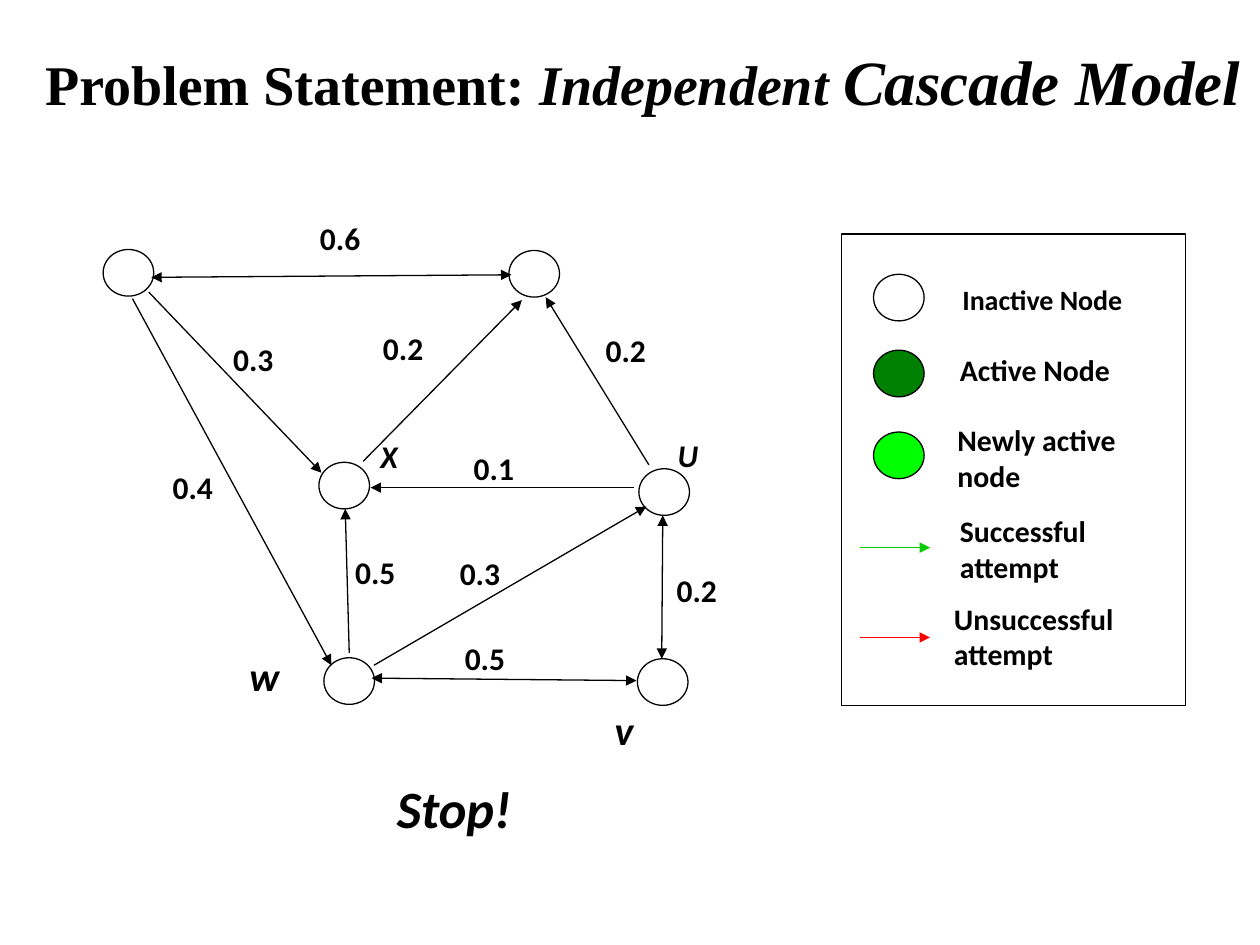
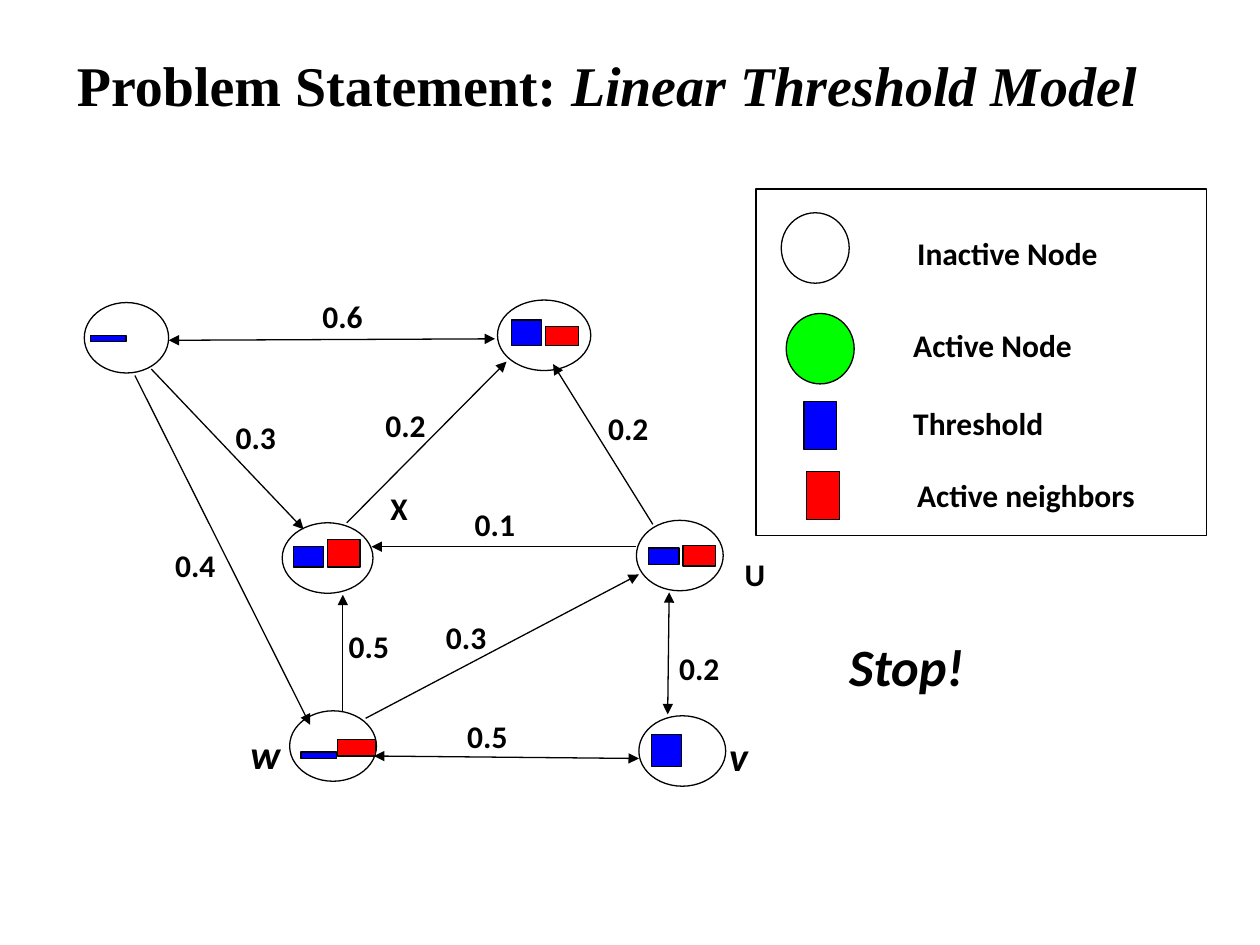
from dataclasses import dataclass

import lxml.etree
import pptx
import pptx.dml.color
import pptx.enum.shapes
import pptx.enum.text
import pptx.oxml.ns
import pptx.util

Cm, Pt = pptx.util.Cm, pptx.util.Pt
Preset = pptx.enum.shapes.MSO_SHAPE


@dataclass(frozen=True)
class Theme:
    """Colours, fonts and type sizes of both slides."""
    ink: str = "000000"
    paper: str = "FFFFFF"
    active: str = "008000"
    fresh: str = "00FF00"
    success: str = "00CC00"
    red: str = "FF0000"
    threshold: str = "0000FF"
    title_font: str = "Times New Roman"
    body_font: str = "Calibri"
    title: int = 32
    title_large: int = 36
    stop: int = 30
    node_name: int = 23
    label: int = 18
    key: int = 17
    key_small: int = 16
    outline: float = 0.75


@dataclass(frozen=True)
class Box:
    """A region in centimetres."""
    left: float
    top: float
    width: float
    height: float

    def inner(self, left, top, width, height):
        """Return a box placed relative to this one."""
        return Box(self.left + left, self.top + top, width, height)

    def lengths(self):
        """Return the four lengths that python-pptx expects."""
        return [Cm(n) for n in (self.left, self.top, self.width, self.height)]


THEME = Theme()


def set_all(target, values):
    """Set every attribute named in values on target."""
    for name, value in values.items():
        setattr(target, name, value)


def style_run(run, size, font=THEME.body_font, italic=False):
    """Format one bold run."""
    set_all(run.font, {"name": font, "size": Pt(size), "bold": True, "italic": italic})
    run.font.color.rgb = pptx.dml.color.RGBColor.from_string(THEME.ink)


def paint_line(line, colour):
    """Give a line the common width and the given colour."""
    line.color.rgb = pptx.dml.color.RGBColor.from_string(colour)
    line.width = Pt(THEME.outline)


def add_text(slide, box, wording, size, italic=False):
    """Write bold text in a wrapping box, one paragraph to a line."""
    frame = slide.shapes.add_textbox(*box.lengths()).text_frame
    set_all(frame, {"word_wrap": True, "text": wording})
    for paragraph in frame.paragraphs:
        for run in paragraph.runs:
            style_run(run, size, italic=italic)


def add_outlined(slide, preset, box, fill=None):
    """Draw a thinly outlined preset shape, filled when a colour is given."""
    shape = slide.shapes.add_shape(preset, *box.lengths())
    shape.shadow.inherit = False
    paint_line(shape.line, THEME.ink)
    if fill:
        shape.fill.solid()
        shape.fill.fore_color.rgb = pptx.dml.color.RGBColor.from_string(fill)
    else:
        shape.fill.background()


def add_arrow(slide, box, start, end, colour=THEME.ink, two_way=False):
    """Draw an arrow between two points of a box."""
    points = [Cm(n) for x, y in (start, end) for n in (box.left + x, box.top + y)]
    arrow = slide.shapes.add_connector(pptx.enum.shapes.MSO_CONNECTOR.STRAIGHT, *points)
    paint_line(arrow.line, colour)
    qn = pptx.oxml.ns.qn
    properties = arrow._element.spPr
    for tip in ("a:headEnd", "a:tailEnd") if two_way else ("a:tailEnd",):
        lxml.etree.SubElement(properties.find(qn("a:ln")), qn(tip), type="triangle")
    lxml.etree.SubElement(properties, qn("a:effectLst"))


def add_title(slide, box, parts):
    """Place the title and write its (wording, size, italic) parts."""
    heading = slide.shapes.title
    set_all(heading, dict(zip(("left", "top", "width", "height"), box.lengths())))
    frame = heading.text_frame
    set_all(frame, {
        "margin_left": 0, "margin_right": 0, "margin_top": 0, "margin_bottom": Cm(0.13),
        "word_wrap": True, "auto_size": pptx.enum.text.MSO_AUTO_SIZE.NONE,
        "vertical_anchor": pptx.enum.text.MSO_ANCHOR.TOP,
    })
    paragraph = frame.paragraphs[0]
    set_all(paragraph, {"alignment": pptx.enum.text.PP_ALIGN.LEFT, "line_spacing": Pt(29)})
    for wording, size, italic in parts:
        run = paragraph.add_run()
        run.text = wording
        style_run(run, size, THEME.title_font, italic)


def add_graph(slide, box, nodes, node_height, edges, weight_places, names):
    """Draw the influence graph: nodes, weighted edges and node names."""
    for left, top, width, fill in nodes.values():
        add_outlined(slide, Preset.OVAL, box.inner(left, top, width, node_height), fill)
    for pair, (start, end) in edges.items():
        add_arrow(slide, box, start, end, two_way=pair in TWO_WAY)
    for pair, place in weight_places.items():
        add_text(slide, box.inner(*place, 1.7, 1.02), WEIGHTS[pair], THEME.label)
    for name, (left, top, size, italic) in names.items():
        add_text(slide, box.inner(left, top, 1.3, 1.22), name, size, italic)


def add_bars(slide, box, bars, colour):
    """Draw the level bars that sit inside the nodes."""
    for place in bars:
        add_outlined(slide, Preset.RECTANGLE, box.inner(*place), colour)


def add_legend(slide, box, symbols, arrows, captions):
    """Draw the framed legend with its symbols, arrows and captions."""
    add_outlined(slide, Preset.RECTANGLE, box)
    for preset, place, fill in symbols:
        add_outlined(slide, preset, box.inner(*place), fill)
    for height, colour in arrows:
        add_arrow(slide, box, (0.37, height), (1.78, height), colour)
    for left, top, wording, size in captions:
        lines = wording.count("\n") + 1
        caption = box.inner(left, top, box.width - left - 0.2, 0.25 + 0.75 * lines)
        add_text(slide, caption, wording, size)


def add_model_slide(deck, title_box, title, stop_box):
    """Add a slide with its title and the closing call."""
    slide = deck.slides.add_slide(deck.slide_layouts[5])
    add_title(slide, title_box, [("Problem Statement: ", THEME.title, False), *title])
    add_text(slide, stop_box, "Stop!", THEME.stop, italic=True)
    return slide


WEIGHTS = {"wv": "0.5", "wU": "0.3", "wX": "0.5", "UX": "0.1", "aw": "0.4",
           "aX": "0.3", "Xb": "0.2", "ab": "0.6", "Ub": "0.2", "Uv": "0.2"}
TWO_WAY = {"wv", "ab", "Uv"}
WEIGHT_PLACES = {
    "wv": (7.12, 8.75), "wU": (7.02, 7.05), "wX": (4.91, 7.02), "UX": (7.3, 4.92),
    "aw": (1.23, 5.32), "aX": (2.45, 2.73), "Xb": (5.47, 2.5), "ab": (4.2, 0.29),
    "Ub": (9.96, 2.55), "Uv": (11.39, 7.38),
}


def build_cascade(deck):
    """Build the Independent Cascade Model slide."""
    slide = add_model_slide(
        deck, Box(0.91, 1.35, 24.49, 3.23),
        [("Independent ", THEME.title, True), ("Cascade Model", THEME.title_large, True)],
        Box(7.75, 15.52, 3.63, 1.52))
    size = (1.02, 0.94)
    corners = {"a": (0.08, 1.03), "b": (8.26, 1.05), "X": (4.43, 5.32),
               "U": (10.88, 5.45), "w": (4.53, 9.26), "v": (10.85, 9.28)}
    nodes = {name: (*corner, size[0], THEME.paper) for name, corner in corners.items()}
    edges = {
        "wv": ((5.49, 9.67), (10.83, 9.72)), "wU": ((5.54, 9.41), (11.03, 6.21)),
        "wX": ((5.04, 9.16), (4.96, 6.26)), "UX": ((10.78, 5.83), (5.47, 5.83)),
        "aw": ((0.67, 2.02), (4.68, 9.41)), "aX": ((1.0, 1.89), (4.48, 5.53)),
        "Xb": ((5.32, 5.3), (8.52, 2.05)), "ab": ((1.05, 1.59), (8.31, 1.54)),
        "Ub": ((11.08, 5.37), (9.0, 1.99)), "Uv": ((11.36, 6.39), (11.34, 9.28)),
    }
    names = {"v": (10.14, 10.1, THEME.node_name, True), "w": (2.78, 9.0, THEME.node_name, True),
             "U": (11.41, 4.66, THEME.label, True), "X": (5.42, 4.69, THEME.label, True)}
    add_graph(slide, Box(2, 4, 12, 11.5), nodes, size[1], edges, WEIGHT_PLACES, names)
    symbols = [(Preset.OVAL, (0.64, top, *size), fill) for top, fill in
               ((0.81, THEME.paper), (2.34, THEME.active), (3.99, THEME.fresh))]
    captions = [
        (2.18, 0.86, "Inactive Node", THEME.key_small),
        (2.13, 2.24, "Active Node", THEME.key),
        (2.08, 3.66, "Newly active \nnode", THEME.key),
        (2.13, 5.49, "Successful \nattempt", THEME.key),
        (2.01, 7.26, "Unsuccessful\nattempt", THEME.key),
    ]
    add_legend(slide, Box(16.97, 4.72, 6.93, 9.5), symbols,
               [(6.32, THEME.success), (8.13, THEME.red)], captions)


def build_threshold(deck):
    """Build the Linear Threshold Model slide."""
    slide = add_model_slide(
        deck, Box(1.55, 1.35, 23.22, 4.27),
        [("Linear Threshold Model", THEME.title, True)], Box(16.87, 12.65, 3.63, 1.52))
    graph = Box(2.05, 5.57, 12, 11.5)
    nodes = {
        "a": (-0.35, 0.53, 1.7, THEME.paper), "b": (7.98, 0.48, 1.88, THEME.paper),
        "X": (3.64, 4.97, 1.83, THEME.paper), "U": (10.78, 4.92, 1.75, THEME.paper),
        "w": (3.79, 8.76, 1.75, THEME.paper), "v": (10.83, 8.86, 1.75, None),
    }
    edges = {
        "wv": ((5.49, 9.67), (10.83, 9.72)), "wU": ((5.32, 8.91), (10.83, 6.01)),
        "wX": ((4.86, 8.76), (4.86, 6.42)), "UX": ((10.78, 5.45), (5.44, 5.45)),
        "aw": ((0.67, 2.0), (4.2, 9.04)), "aX": ((1.0, 1.87), (4.07, 5.1)),
        "Xb": ((4.94, 4.97), (8.16, 1.72)), "ab": ((1.35, 1.29), (7.93, 1.26)),
        "Ub": ((11.11, 5.0), (9.1, 1.77)), "Uv": ((11.44, 6.37), (11.41, 8.83)),
    }
    weight_places = {**WEIGHT_PLACES, "wU": (6.69, 6.77), "wX": (4.73, 6.95), "UX": (7.27, 4.49)}
    names = {"v": (12.4, 9.04, THEME.node_name, True), "w": (2.75, 9.0, THEME.node_name, True),
             "U": (12.71, 5.5, THEME.label, False), "X": (5.57, 4.16, THEME.label, False)}
    add_graph(slide, graph, nodes, 1.42, edges, weight_places, names)
    add_bars(slide, graph, [
        (11.08, 9.24, 0.61, 0.64), (8.26, 0.88, 0.61, 0.51), (3.87, 5.45, 0.61, 0.41),
        (11.03, 5.48, 0.61, 0.33), (4.02, 9.59, 0.71, 0.13), (-0.22, 1.19, 0.71, 0.13),
    ], THEME.threshold)
    add_bars(slide, graph, [
        (4.76, 9.34, 0.76, 0.33), (11.72, 5.43, 0.66, 0.41),
        (4.55, 5.3, 0.66, 0.56), (8.95, 1.01, 0.66, 0.38),
    ], THEME.red)
    symbols = [
        (Preset.OVAL, (0.51, 0.48, 1.37, 1.42), THEME.paper),
        (Preset.OVAL, (0.61, 2.51, 1.37, 1.42), THEME.fresh),
        (Preset.RECTANGLE, (0.97, 4.29, 0.66, 0.97), THEME.threshold),
        (Preset.RECTANGLE, (1.02, 5.69, 0.66, 0.97), THEME.red),
    ]
    captions = [
        (3.0, 0.79, "Inactive Node", THEME.label), (2.92, 2.64, "Active Node", THEME.label),
        (2.92, 4.22, "Threshold", THEME.label), (3.0, 5.66, "Active neighbors", THEME.label),
    ]
    add_legend(slide, Box(15.24, 3.81, 9.09, 6.99), symbols, [], captions)


def main():
    """Build and save the deck."""
    deck = pptx.Presentation()
    set_all(deck, {"slide_width": Cm(25.4), "slide_height": Cm(19.05)})
    build_cascade(deck)
    build_threshold(deck)
    deck.save("out.pptx")


main()
